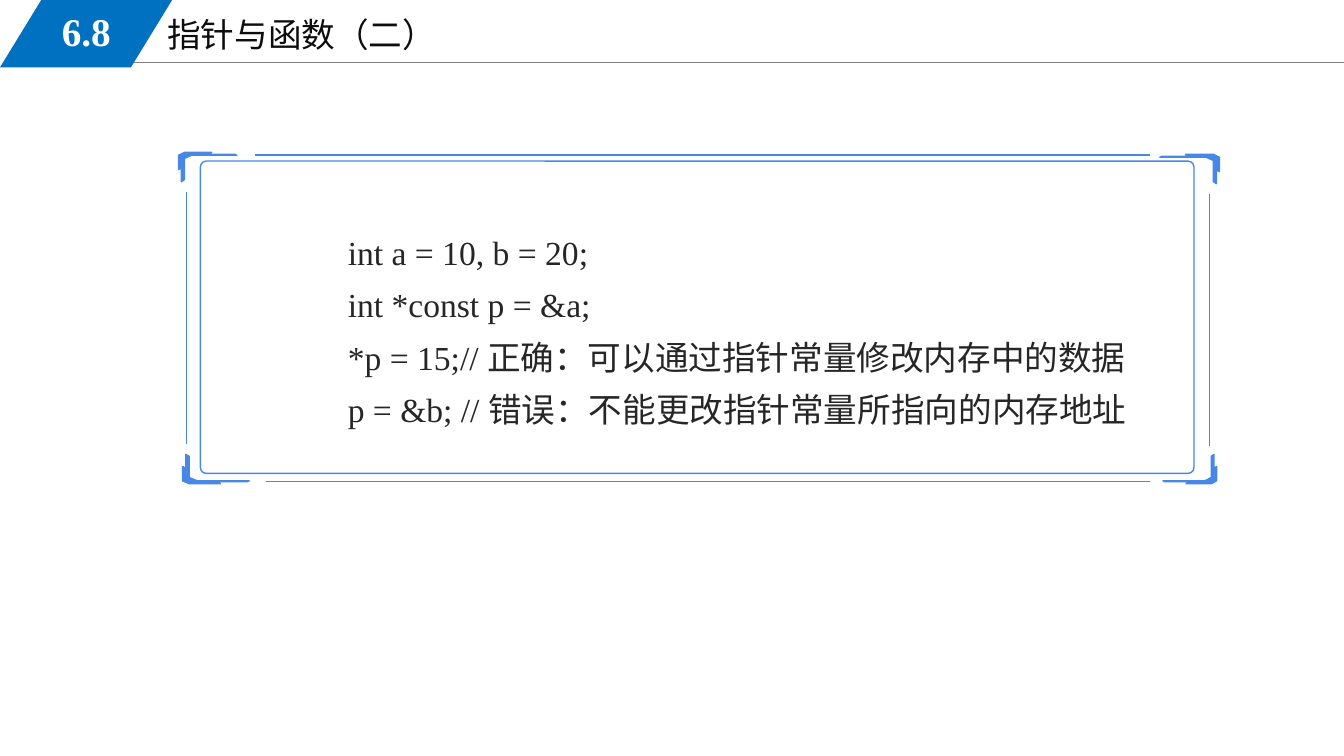
"""Build the slide on constant pointers with its framed code example."""
from lxml.etree import SubElement
from pptx import Presentation
from pptx.dml.color import RGBColor
from pptx.enum.shapes import MSO_CONNECTOR, MSO_SHAPE
from pptx.enum.text import MSO_ANCHOR, MSO_AUTO_SIZE, PP_ALIGN
from pptx.oxml.ns import qn
from pptx.util import Cm, Pt

BLUE = "4788E6"
CODE_LINES = [
    "int a = 10, b = 20;",
    "int *const p = &a;",
    "*p = 15;// 正确：可以通过指针常量修改内存中的数据",
    "p = &b; // 错误：不能更改指针常量所指向的内存地址",
]
BRACKET = [
    (0.1, 0), (0.29, 0), (0.57, 0), (0.5, 0.07), (0.97, 0.07), (1, 0.1), (0.22, 0.1),
    (0.1, 0.21), (0.1, 0.93), (0.05, 1), (0.05, 0.52), (0, 0.59), (0, 0.1),
]
CORNERS = [
    (4.5, 3.84, 1.47, 0.74),
    (30.73, 3.89, -1.5, 0.74),
    (4.6, 12.19, 1.68, -0.74),
    (30.66, 12.19, -1.35, -0.74),
]
EDGES = [
    (6.43, 3.91, 28.98, 3.91),
    (6.71, 12.14, 28.98, 12.14),
    (4.7, 4.83, 4.7, 11.2),
    (30.48, 4.88, 30.48, 11.25),
]


def color(value):
    return RGBColor.from_string(value)


def add_line(shapes, ends, line_color, width):
    line = shapes.add_connector(MSO_CONNECTOR.STRAIGHT, *[Cm(end) for end in ends])
    line.line.color.rgb = color(line_color)
    line.line.width = Pt(width)
    SubElement(line._element.spPr, qn("a:effectLst"))


deck = Presentation()
deck.slide_width, deck.slide_height = Cm(33.87), Cm(19.05)
page = deck.slides.add_slide(deck.slide_layouts[1])

add_line(page.shapes, (2.87, 1.57, 33.87, 1.57), "808080", 0.75)

banner = page.shapes.add_shape(MSO_SHAPE.PARALLELOGRAM, 0, 0, Cm(4.34), Cm(1.7))
banner.adjustments[0] = 0.612
banner.shadow.inherit = False
banner.fill.solid()
banner.fill.fore_color.rgb = color("0070C0")
banner.line.fill.background()

title = page.shapes.title
title.text_frame.text = "指针与函数（二）"
code = page.placeholders[1]
code.text_frame.text = "\n".join(CODE_LINES)
number = page.shapes.add_textbox(0, 0, 0, 0)
number.text_frame.text = "6.8"

for box, place, anchor, align, size, text_color, bold in [
    (title, (3.96, 0.23, 14.4, 4.37), MSO_ANCHOR.TOP, PP_ALIGN.LEFT, 24, "0D0D0D", False),
    (code, (5.97, 5.41, 23.34, 5.59), MSO_ANCHOR.TOP, PP_ALIGN.LEFT, 24, "262626", False),
    (number, (0.64, 0.05, 3.07, 1.47), MSO_ANCHOR.MIDDLE, PP_ALIGN.CENTER, 28, "FFFFFF", True),
]:
    box.left, box.top, box.width, box.height = [Cm(length) for length in place]
    frame = box.text_frame
    frame.word_wrap = True
    frame.auto_size = MSO_AUTO_SIZE.NONE
    frame.vertical_anchor = anchor
    for para in frame.paragraphs:
        para.alignment = align
        for span in para.runs:
            span.font.name = "Times New Roman"
            span.font.size = Pt(size)
            span.font.bold = bold
            span.font.color.rgb = color(text_color)

for para in code.text_frame.paragraphs:
    para.line_spacing = 1.3
    para.space_before = Pt(0)
    properties = para._p.get_or_add_pPr()
    properties.set("marL", str(Cm(2.54)))
    properties.set("indent", "0")
    SubElement(properties, qn("a:buNone"))

border = page.shapes.add_group_shape()
panel = border.shapes.add_shape(
    MSO_SHAPE.ROUNDED_RECTANGLE, Cm(5.05), Cm(4.06), Cm(25.04), Cm(7.87))
panel.adjustments[0] = 0.019
panel.shadow.inherit = False
panel.fill.background()
panel.line.color.rgb = color(BLUE)
panel.line.width = Pt(1)

for left, top, width, height in CORNERS:
    points = [(Cm(left + x * width), Cm(top + y * height)) for x, y in BRACKET]
    builder = border.shapes.build_freeform(*points[0])
    builder.add_line_segments(points[1:], close=True)
    corner = builder.convert_to_shape()
    corner.shadow.inherit = False
    corner.fill.solid()
    corner.fill.fore_color.rgb = color(BLUE)
    corner.line.color.rgb = color(BLUE)
    corner.line.width = Pt(1)

for edge in EDGES:
    add_line(border.shapes, edge, BLUE, 1)

deck.save("out.pptx")
